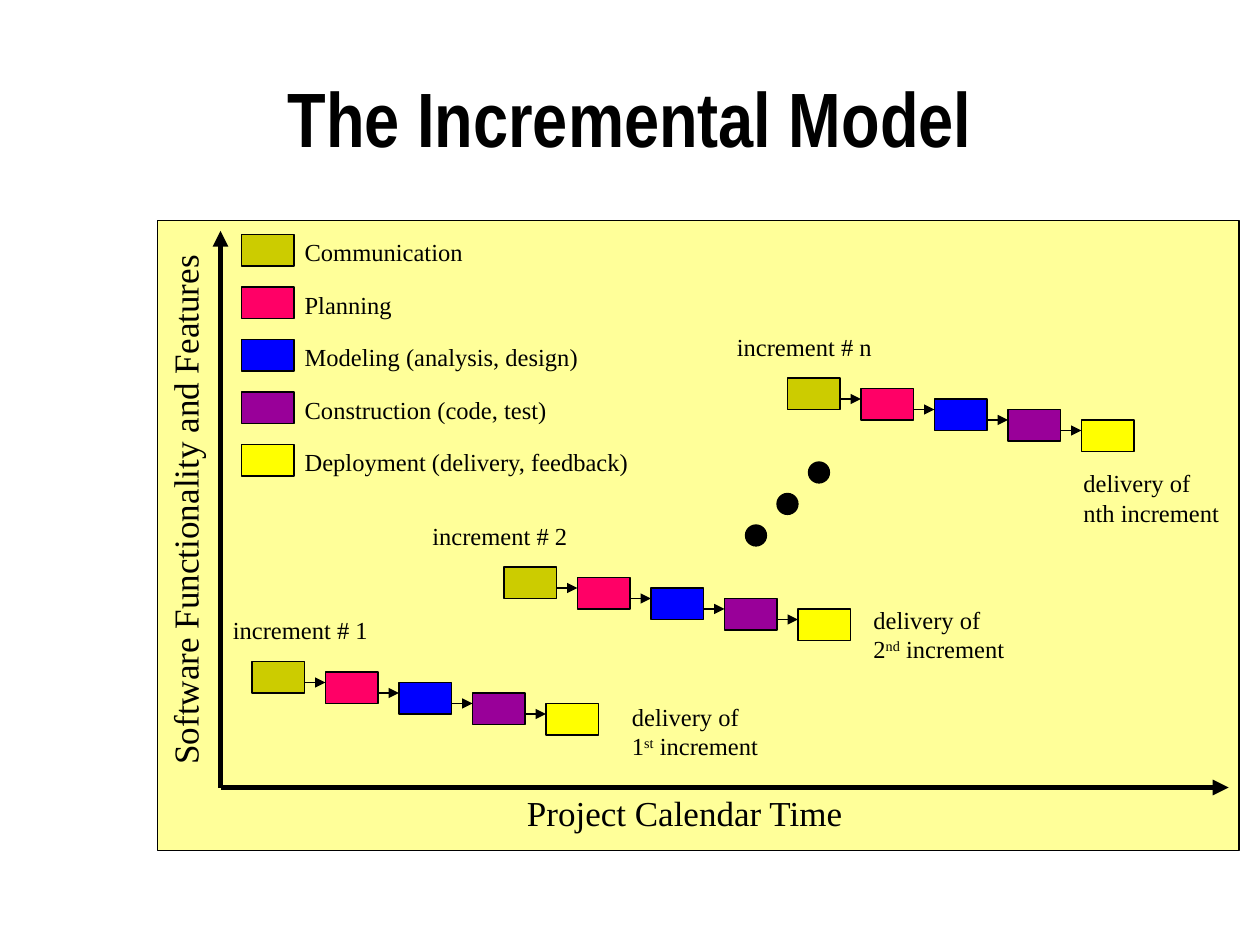
from lxml import etree
from pptx import Presentation, util as u
from pptx.dml.color import RGBColor
from pptx.enum import shapes, text
from pptx.oxml.ns import qn

COLORS = {"ink": "000000", "panel": "FFFF99", "communication": "CCCC00",
          "planning": "FF0066", "modeling": "0000FF",
          "construction": "990099", "deployment": "FFFF00"}
ACTIVITIES = [("communication", "Communication", 108),
              ("planning", "Planning", 108),
              ("modeling", "Modeling (analysis, design)", 175),
              ("construction", "Construction (code, test)", 223),
              ("deployment", "Deployment (delivery, feedback)", 223)]
# first box, label left, delivery box (left, top, width), number and ordinal ending
INCREMENTS = [
    {"name": "1", "start": (144, 378), "label_x": 126,
     "delivery": (354, 397.5, 90), "ordinal": ("1", "st")},
    {"name": "2", "start": (288, 324), "label_x": 240,
     "delivery": (492, 342, 90), "ordinal": ("2", "nd")},
    {"name": "n", "start": (450, 216), "label_x": 414,
     "delivery": (612, 264, 96), "ordinal": ("nth", "")},
]
BOX_W, BOX_H = 30, 18
STEP_X, STEP_Y = 42, 6
LABEL_FONT = {"name": "Times New Roman", "size": u.Pt(14)}
AXIS_FONT = {"name": "Times New Roman", "size": u.Pt(20)}
TITLE_FONT = {"name": "Arial Narrow", "size": u.Pt(44), "bold": True}


def rgb(name):
    return RGBColor.from_string(COLORS[name])


def pts(*values):
    return [u.Pt(v) for v in values]


def add_run(p, content, fmt):
    r = p.add_run()
    r.text = content
    for key, value in fmt.items():
        setattr(r.font, key, value)
    r.font.color.rgb = rgb("ink")
    return r


def add_box(parent, kind, x, y, w, h, fill):
    sp = parent.add_shape(kind, *pts(x, y, w, h))
    sp.shadow.inherit = False
    sp.fill.solid()
    sp.fill.fore_color.rgb = rgb(fill)
    sp.line.color.rgb = rgb("ink")
    sp.line.width = u.Pt(0.75)


def add_arrow(parent, x1, y1, x2, y2, width):
    cx = parent.add_connector(shapes.MSO_CONNECTOR.STRAIGHT, *pts(x1, y1, x2, y2))
    cx.line.color.rgb = rgb("ink")
    cx.line.width = u.Pt(width)
    etree.SubElement(cx.line._get_or_add_ln(), qn("a:tailEnd"), type="triangle")
    etree.SubElement(cx._element.spPr, qn("a:effectLst"))


def add_label(parent, x, y, w, h, content, fmt, ending="", rest=""):
    sp = parent.add_textbox(*pts(x, y, w, h))
    tf = sp.text_frame
    tf.word_wrap = True
    tf.auto_size = text.MSO_AUTO_SIZE.SHAPE_TO_FIT_TEXT
    p = tf.paragraphs[0]
    add_run(p, content, fmt)
    if ending:
        r = add_run(p, ending, fmt)
        r.font._element.set("baseline", "30000")
    if rest:
        add_run(p, rest, fmt)
    return sp


def main():
    prs = Presentation()
    prs.slide_width, prs.slide_height = pts(720, 540)
    s = prs.slides.add_slide(prs.slide_layouts[5])
    rect, oval = shapes.MSO_SHAPE.RECTANGLE, shapes.MSO_SHAPE.OVAL

    # Title
    title = s.shapes.title
    title.left, title.top, title.width, title.height = pts(36, 21.6, 648, 90)
    tf = title.text_frame
    tf.vertical_anchor = text.MSO_ANCHOR.MIDDLE
    tf.paragraphs[0].alignment = text.PP_ALIGN.CENTER
    add_run(tf.paragraphs[0], "The Incremental Model", TITLE_FONT)

    # Panel and axes
    add_box(s.shapes, rect, 90, 126, 618, 360, "panel")
    add_arrow(s.shapes, 126, 450, 126, 132, 3)
    add_arrow(s.shapes, 126, 450, 702, 450, 3)
    add_label(s.shapes, 294, 448.5, 198, 31.5, "Project Calendar Time", AXIS_FONT)
    y_title = add_label(s.shapes, -50.25, 272.25, 312, 31.5,
                        "Software Functionality and Features", AXIS_FONT)
    y_title.rotation = 270

    # Legend
    legend = s.shapes.add_group_shape().shapes
    for i, (color, name, width) in enumerate(ACTIVITIES):
        add_box(legend, rect, 138, 134 + 30 * i, BOX_W, BOX_H, color)
        add_label(legend, 167, 132 + 30 * i, width, 24.5, name, LABEL_FONT)

    # Increments: a falling chain of activities, its label and its delivery
    for inc in INCREMENTS:
        x0, y0 = inc["start"]
        chain = s.shapes.add_group_shape().shapes
        for i, (color, _, _) in enumerate(ACTIVITIES):
            x, y = x0 + STEP_X * i, y0 + STEP_Y * i
            add_box(chain, rect, x, y, BOX_W, BOX_H, color)
            if i < len(ACTIVITIES) - 1:
                add_arrow(chain, x + BOX_W, y + 12, x + STEP_X, y + 12, 0.75)
        add_label(s.shapes, inc["label_x"], y0 - 30, 102, 24.5,
                  f"increment # {inc['name']}", LABEL_FONT)
        left, top, width = inc["delivery"]
        number, ending = inc["ordinal"]
        add_label(s.shapes, left, top, width, 41, f"delivery of {number}",
                  LABEL_FONT, ending, " increment")

    # Dots between increment 2 and increment n
    for i in range(3):
        add_box(s.shapes, oval, 426 + 18 * i, 300 - 18 * i, 12, 12, "ink")

    prs.save("out.pptx")


if __name__ == "__main__":
    main()
